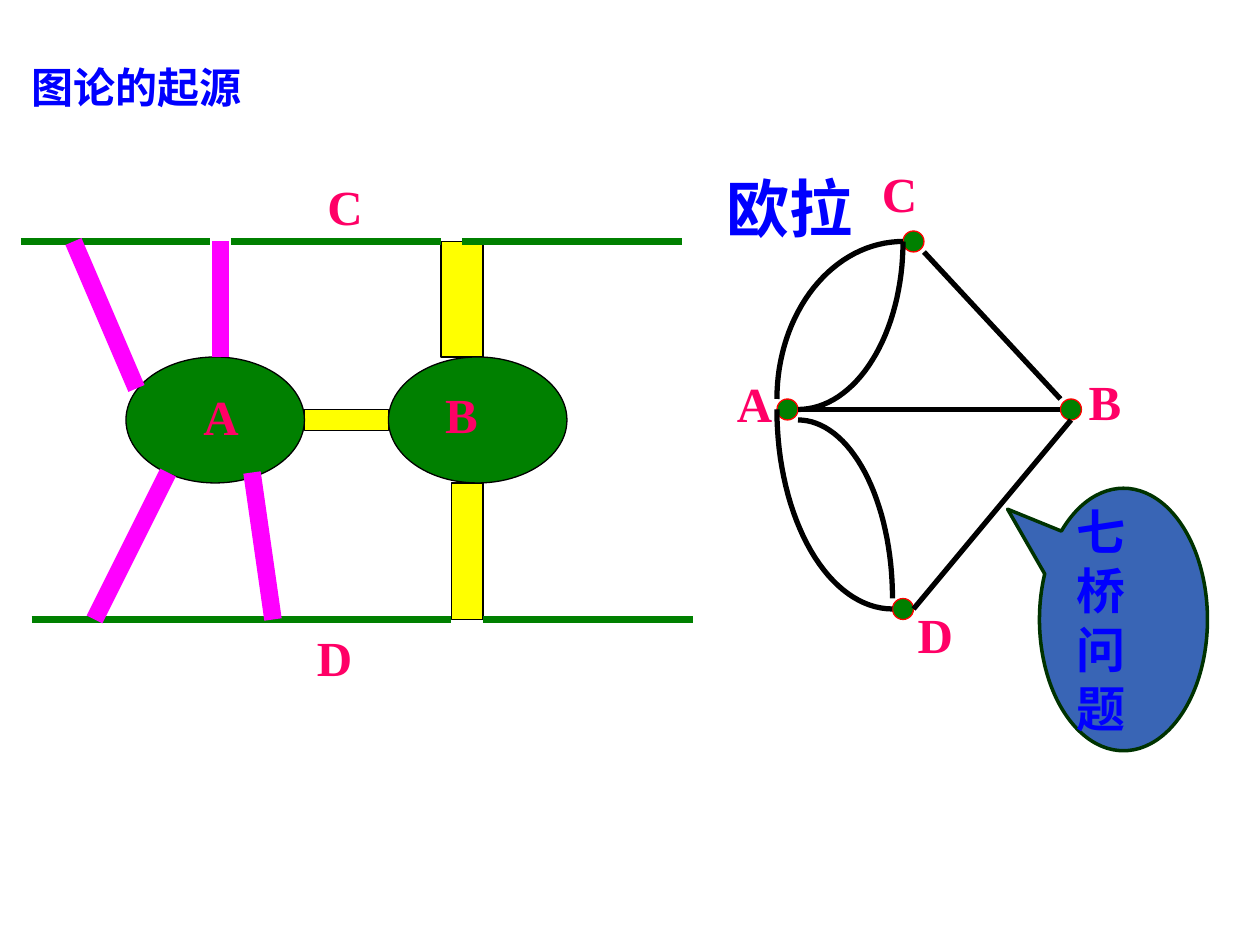
"""Builds the slide on the origin of graph theory: the seven bridges beside their graph."""
from math import cos, pi, sin

from lxml import etree
from pptx import Presentation
from pptx.dml.color import RGBColor
from pptx.enum.shapes import MSO_CONNECTOR, MSO_SHAPE
from pptx.enum.text import MSO_ANCHOR, MSO_AUTO_SIZE, PP_ALIGN
from pptx.oxml.ns import qn
from pptx.util import Inches, Pt

STRAIGHT = MSO_CONNECTOR.STRAIGHT
OVAL, RECT, CALLOUT = MSO_SHAPE.OVAL, MSO_SHAPE.RECTANGLE, MSO_SHAPE.OVAL_CALLOUT
TOP, MIDDLE, LEFT = MSO_ANCHOR.TOP, MSO_ANCHOR.MIDDLE, PP_ALIGN.LEFT
GROW, FIXED = MSO_AUTO_SIZE.SHAPE_TO_FIT_TEXT, MSO_AUTO_SIZE.NONE
HAN, LATIN = "Noto Sans CJK SC", "Times New Roman"
COLORS = {
    "heading": "0000FF", "label": "FF0066", "land": "008000", "ring": "FF0000",
    "ink": "000000", "wood": "FFFF00", "bridge": "FF00FF",
    "callout": "3965B5", "callout_edge": "003300",
}
COLUMNS = 120
ARC_STEPS = 32


class Board:
    """Holds the slide and its style; lengths are grid cells."""

    def __init__(self, deck):
        self.cell = deck.slide_width / COLUMNS
        self.slide = deck.slides.add_slide(deck.slide_layouts[5])
        self.shapes = self.slide.shapes

    def cells(self, *lengths):
        return [round(length * self.cell) for length in lengths]

    def color(self, name):
        return RGBColor.from_string(COLORS[name])

    def stroke(self, line, color, width):
        line.color.rgb = self.color(color)
        line.width = Pt(width)

    def set_text(self, shape, text, size, color="heading", font=HAN,
                 wrap=True, anchor=TOP, fit=GROW):
        frame = shape.text_frame
        frame.word_wrap, frame.vertical_anchor, frame.auto_size = wrap, anchor, fit
        paragraph = frame.paragraphs[0]
        paragraph.alignment = LEFT
        run = paragraph.add_run()
        run.text = text
        run.font.size, run.font.bold = Pt(size), True
        run.font.color.rgb = self.color(color)
        run.font.name = font
        etree.SubElement(run.font._element, qn("a:ea"), typeface=font)

    def title(self, text, box, size):
        holder = self.shapes.title
        holder.left, holder.top, holder.width, holder.height = self.cells(*box)
        self.set_text(holder, text, size)

    def text(self, text, box, size, **style):
        self.set_text(self.shapes.add_textbox(*self.cells(*box)), text, size, **style)

    def label(self, letter, left, top):
        self.text(letter, (left, top, 5.75, 6.85), 28,
                  color="label", font=LATIN, wrap=False)

    def shape(self, kind, box, fill, edge="ink", width=0.75):
        shape = self.shapes.add_shape(kind, *self.cells(*box))
        shape.shadow.inherit = False
        shape.fill.solid()
        shape.fill.fore_color.rgb = self.color(fill)
        self.stroke(shape.line, edge, width)
        return shape

    def line(self, start, end, color="ink", width=3):
        line = self.shapes.add_connector(STRAIGHT, *self.cells(*start, *end))
        self.stroke(line.line, color, width)
        etree.SubElement(line._element.spPr, qn("a:effectLst"))

    def quarter_arc(self, start, end):
        """Draws a quarter ellipse that leaves start horizontally and meets end vertically."""
        (x0, y0), (x1, y1) = start, end
        angles = [pi / 2 * step / ARC_STEPS for step in range(ARC_STEPS + 1)]
        points = [self.cells(x0 + (x1 - x0) * sin(a), y1 + (y0 - y1) * cos(a))
                  for a in angles]
        builder = self.shapes.build_freeform(*points[0])
        builder.add_line_segments(points[1:], close=False)
        arc = builder.convert_to_shape()
        arc.shadow.inherit = False
        arc.fill.background()
        self.stroke(arc.line, "ink", 3)


def draw_graph(board):
    for node in [(85, 57), (101, 38), (74, 38), (86, 22)]:
        board.shape(OVAL, (*node, 2, 2), "land", "ring")
    for letter, left, top in [("C", 82.8, 15), ("D", 86.2, 57),
                              ("A", 69, 35), ("B", 102.5, 34.8)]:
        board.label(letter, left, top)
    for start, end in [((101, 38), (88, 24)), ((76, 39), (101, 39)),
                       ((87, 58), (102, 40))]:
        board.line(start, end)
    for start, end in [((86, 23), (74, 38)), ((76, 40), (85, 57)),
                       ((76, 39), (86, 23)), ((85, 58), (74, 39))]:
        board.quarter_arc(start, end)


def draw_river(board):
    for bridge in [(42, 23, 4, 11), (29, 39, 8, 2), (43, 46, 3, 13)]:
        board.shape(RECT, bridge, "wood")
    banks = {23: [(2, 20), (22, 42), (44, 65)], 59: [(3, 23), (23, 43), (46, 66)]}
    for row, stretches in banks.items():
        for left, right in stretches:
            board.line((left, row), (right, row), "land", 4.25)
    for left in (12, 37):
        board.shape(OVAL, (left, 34, 17, 12), "land")
    for letter, left, top in [("C", 30, 16.2), ("D", 29, 59.2),
                              ("A", 18.2, 36.2), ("B", 41.2, 36)]:
        board.label(letter, left, top)
    for start, end in [((7, 23), (13, 37)), ((21, 34), (21, 23)),
                       ((24, 45), (26, 59)), ((16, 45), (9, 59))]:
        board.line(start, end, "bridge", 10)


def main():
    deck = Presentation()
    deck.slide_width, deck.slide_height = Inches(10), Inches(7.5)
    board = Board(deck)
    board.title("图论的起源", (1.8, 5.3, 37.2, 6), 24)
    board.text("欧拉", (68, 15.6, 17, 8.4), 36)
    draw_graph(board)
    draw_river(board)
    problem = board.shape(CALLOUT, (99, 46.5, 16, 25), "callout", "callout_edge", 2)
    problem.adjustments[0], problem.adjustments[1] = -0.69, -0.42
    board.set_text(problem, "七桥问题", 28, anchor=MIDDLE, fit=FIXED)
    deck.save("out.pptx")


if __name__ == "__main__":
    main()
